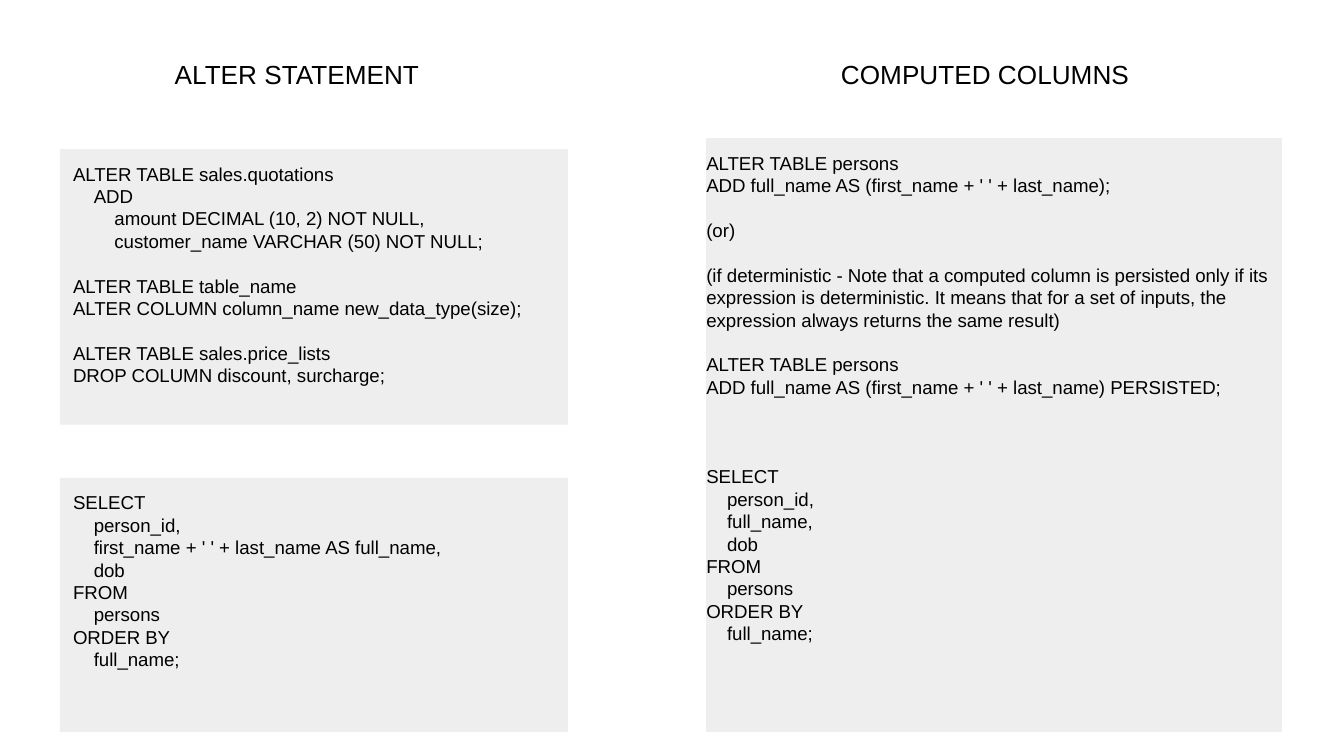
import dataclasses

import pptx
import pptx.dml.color
import pptx.enum.shapes
import pptx.enum.text
import pptx.util

ALTER_CODE = """\
ALTER TABLE sales.quotations
    ADD
        amount DECIMAL (10, 2) NOT NULL,
        customer_name VARCHAR (50) NOT NULL;

ALTER TABLE table_name
ALTER COLUMN column_name new_data_type(size);

ALTER TABLE sales.price_lists
DROP COLUMN discount, surcharge;"""

SELECT_CODE = """\
SELECT
    person_id,
    {name},
    dob
FROM
    persons
ORDER BY
    full_name;"""

COMPUTED_CODE = """\
ALTER TABLE persons
ADD full_name AS (first_name + ' ' + last_name);

(or)

(if deterministic - Note that a computed column is persisted only if its \
expression is deterministic. It means that for a set of inputs, the \
expression always returns the same result)

ALTER TABLE persons
ADD full_name AS (first_name + ' ' + last_name) PERSISTED;



"""


@dataclasses.dataclass(frozen=True)
class Theme:
    font: str = "Arial"
    heading_size: int = 14
    code_size: int = 10
    line_pitch: int = 12
    indent_pt: float = 11.1
    inset: float = 0.1
    text: str = "000000"
    panel: str = "EEEEEE"


class SlideBuilder:
    """Places elements on a grid of tenth-inch columns and rows."""

    CELL = 0.1

    def __init__(self, slide, theme):
        self.slide = slide
        self.theme = theme

    def box(self, *cells):
        return [pptx.util.Inches(n * self.CELL) for n in cells]

    def color(self, value):
        return pptx.dml.color.RGBColor.from_string(value)

    def style(self, p, size):
        p.font.name = self.theme.font
        p.font.size = pptx.util.Pt(size)
        p.font.bold = False
        p.font.color.rgb = self.color(self.theme.text)

    def frame(self, sp, left_inset):
        tf = sp.text_frame
        tf.word_wrap = True
        tf.auto_size = pptx.enum.text.MSO_AUTO_SIZE.NONE
        tf.vertical_anchor = pptx.enum.text.MSO_ANCHOR.TOP
        tf.margin_left = pptx.util.Inches(left_inset)
        tf.margin_top = tf.margin_right = tf.margin_bottom = pptx.util.Inches(self.theme.inset)
        return tf

    def heading(self, sp, text, left, top, width, height):
        sp.left, sp.top, sp.width, sp.height = self.box(left, top, width, height)
        tf = self.frame(sp, self.theme.inset)
        tf.text = text
        p = tf.paragraphs[0]
        p.alignment = pptx.enum.text.PP_ALIGN.CENTER
        p.space_before = pptx.util.Pt(0)
        self.style(p, self.theme.heading_size)

    def code_panel(self, code, left, top, width, height, left_inset=None, outlined=False):
        """Turn leading spaces into indents and empty lines into spacing."""
        t = self.theme
        sp = self.slide.shapes.add_shape(
            pptx.enum.shapes.MSO_SHAPE.RECTANGLE, *self.box(left, top, width, height))
        sp.shadow.inherit = False
        sp.fill.solid()
        sp.fill.fore_color.rgb = self.color(t.panel)
        if outlined:
            sp.line.color.rgb = self.color(t.panel)
            sp.line.width = pptx.util.Pt(0.75)
        else:
            sp.line.fill.background()

        tf = self.frame(sp, t.inset if left_inset is None else left_inset)
        p, gap = None, 0
        for line in code.splitlines():
            text = line.lstrip()
            if not text:
                gap += 1
                continue
            p = tf.add_paragraph() if p else tf.paragraphs[0]
            p.text = text
            p.alignment = pptx.enum.text.PP_ALIGN.LEFT
            p.line_spacing = pptx.util.Pt(t.line_pitch)
            p.space_before = pptx.util.Pt(gap * t.line_pitch)
            level = (len(line) - len(text)) // 4
            p._p.get_or_add_pPr().set("marL", str(pptx.util.Pt(level * t.indent_pt)))
            self.style(p, t.code_size)
            gap = 0

    def drop_empty_placeholders(self):
        for sp in list(self.slide.placeholders):
            if not sp.text_frame.text:
                sp.element.getparent().remove(sp.element)


def main():
    prs = pptx.Presentation()
    prs.slide_width = pptx.util.Inches(10)
    prs.slide_height = prs.slide_width * 9 // 16
    s = prs.slides.add_slide(prs.slide_layouts.get_by_name("Comparison"))
    builder = SlideBuilder(s, Theme())

    builder.heading(s.shapes.title, "ALTER STATEMENT", 8.1, 3.35, 28, 4.4)
    builder.heading(s.placeholders[1], "COMPUTED COLUMNS", 59.3, 3.35, 28, 4.4)
    builder.drop_empty_placeholders()

    concat = SELECT_CODE.format(name="first_name + ' ' + last_name AS full_name")
    computed = COMPUTED_CODE + SELECT_CODE.format(name="full_name")
    builder.code_panel(ALTER_CODE, 4.45, 11.1, 37.8, 20.5)
    builder.code_panel(concat, 4.45, 35.55, 37.8, 18.9)
    builder.code_panel(computed, 52.55, 10.3, 42.8, 44.1, left_inset=0, outlined=True)

    prs.save("out.pptx")


if __name__ == "__main__":
    main()
